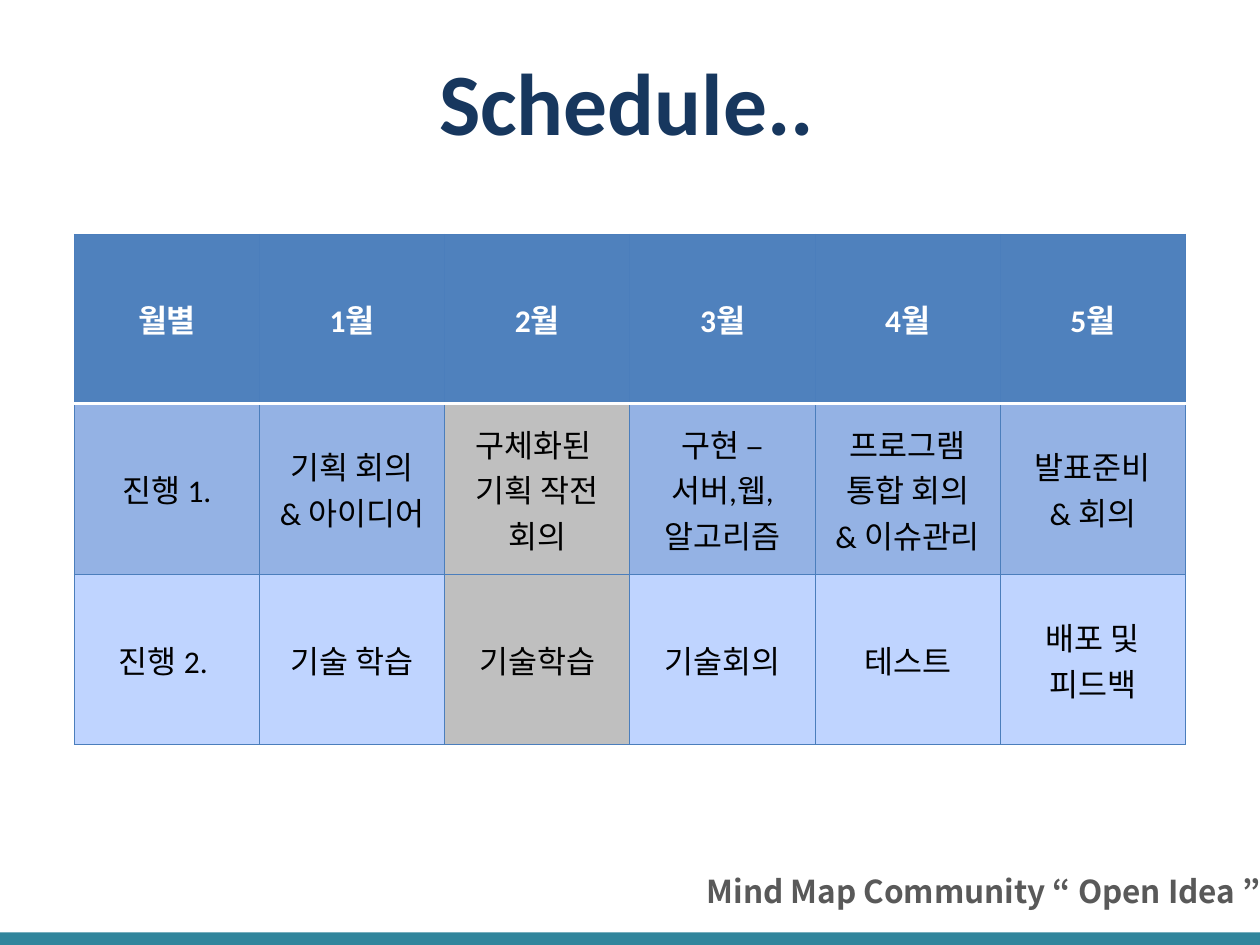
from lxml import etree
from pptx import Presentation
from pptx.dml.color import RGBColor
from pptx.enum.shapes import MSO_SHAPE
from pptx.enum.text import MSO_ANCHOR, MSO_AUTO_SIZE, PP_ALIGN
from pptx.oxml.ns import qn
from pptx.util import Inches, Pt

WHITE = RGBColor(0xFF, 0xFF, 0xFF)
BLACK = RGBColor(0x00, 0x00, 0x00)
NAVY = RGBColor(0x17, 0x37, 0x5E)
GRAY_TEXT = RGBColor(0x59, 0x59, 0x59)
TEAL = RGBColor(0x31, 0x85, 0x9C)
HEADER_BLUE = RGBColor(0x4F, 0x81, 0xBD)
MID_BLUE = RGBColor(0x94, 0xB2, 0xE4)
PALE_BLUE = RGBColor(0xBF, 0xD4, 0xFF)
HIGHLIGHT = RGBColor(0xBF, 0xBF, 0xBF)
BORDER = RGBColor(0x4B, 0x7E, 0xBC)

KOREAN_FONT = "Noto Sans CJK KR"
HIGHLIGHT_COL = 2


def write_text(tf, text, size=18, color=BLACK, bold=False, font="Calibri",
               align=PP_ALIGN.CENTER):
    """Fill a text frame, one paragraph per line of text."""
    for i, line in enumerate(text.split("\n")):
        p = tf.paragraphs[0] if i == 0 else tf.add_paragraph()
        p.alignment = align
        r = p.add_run()
        r.text = line
        r.font.name = font
        r.font.size = Pt(size)
        r.font.bold = bold
        r.font.color.rgb = color
        ea = etree.SubElement(r._r.get_or_add_rPr(), qn("a:ea"))
        ea.set("typeface", KOREAN_FONT)


def set_borders(cell, **sides):
    """Draw cell borders; each side is a (color, points) pair."""
    tcPr = cell._tc.get_or_add_tcPr()
    for i, side in enumerate("LRTB"):
        color, width = sides.get(side, (BORDER, 0.75))
        ln = etree.Element(qn(f"a:ln{side}"), w=str(Pt(width)))
        fill = etree.SubElement(ln, qn("a:solidFill"))
        etree.SubElement(fill, qn("a:srgbClr"), val=str(color))
        tcPr.insert(i, ln)


prs = Presentation()
prs.slide_width = Inches(10)
prs.slide_height = Inches(7.5)
s = prs.slides.add_slide(prs.slide_layouts[5])

# Bottom bar
bar = s.shapes.add_shape(MSO_SHAPE.RECTANGLE, Inches(0), Inches(7.4),
                         Inches(10), Inches(0.13))
bar.shadow.inherit = False
bar.fill.solid()
bar.fill.fore_color.rgb = TEAL
bar.line.fill.background()

# Title
title = s.shapes.title
title.left, title.top = Inches(3.37), Inches(0.33)
title.width, title.height = Inches(3.21), Inches(0.94)
tf = title.text_frame
tf.word_wrap = False
tf.auto_size = MSO_AUTO_SIZE.NONE
tf.vertical_anchor = MSO_ANCHOR.TOP
write_text(tf, "Schedule..", size=50, color=NAVY, bold=True)

# Schedule table
schedule = [
    ["월별", "1월", "2월", "3월", "4월", "5월"],
    ["진행 1.", "기획 회의\n& 아이디어", "구체화된 \n기획 작전 회의",
     "구현 –\n서버,웹, 알고리즘", "프로그램\n통합 회의\n& 이슈관리", "발표준비\n& 회의"],
    ["진행 2. ", "기술 학습", "기술학습", "기술회의", "테스트", "배포 및 피드백"],
]
row_fills = [HEADER_BLUE, MID_BLUE, PALE_BLUE]
row_heights = [1.34, 1.36, 1.35]
header_rule = (WHITE, 2)
row_borders = [{"B": header_rule}, {"T": header_rule}, {}]

table = s.shapes.add_table(len(schedule), len(schedule[0]), Inches(0.59), Inches(1.86),
                           Inches(8.82), Inches(sum(row_heights))).table
for col in table.columns:
    col.width = Inches(1.47)
for i, labels in enumerate(schedule):
    table.rows[i].height = Inches(row_heights[i])
    is_header = i == 0
    for j, label in enumerate(labels):
        cell = table.cell(i, j)
        cell.vertical_anchor = MSO_ANCHOR.MIDDLE
        cell.fill.solid()
        highlighted = j == HIGHLIGHT_COL and not is_header
        cell.fill.fore_color.rgb = HIGHLIGHT if highlighted else row_fills[i]
        set_borders(cell, **row_borders[i])
        write_text(cell.text_frame, label, bold=is_header,
                   color=WHITE if is_header else BLACK)

# Footer
footer = s.shapes.add_textbox(Inches(5.51), Inches(6.87), Inches(6.9), Inches(0.4))
footer.text_frame.word_wrap = True
write_text(footer.text_frame, "Mind Map Community “ Open Idea ”", color=GRAY_TEXT,
           bold=True, font=KOREAN_FONT, align=PP_ALIGN.JUSTIFY)

prs.save("out.pptx")
